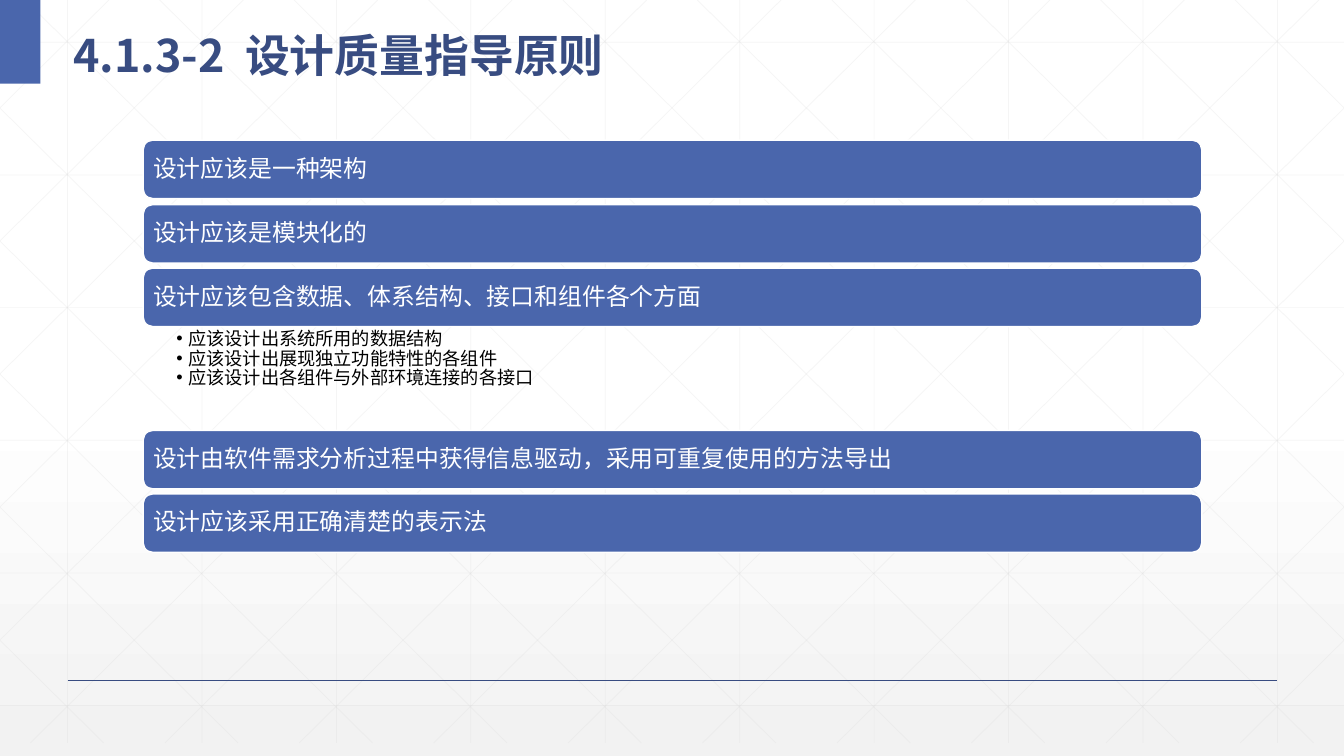
from copy import deepcopy

from lxml import etree
from pptx import Presentation
from pptx.dml.color import RGBColor
from pptx.enum.shapes import MSO_CONNECTOR, MSO_SHAPE
from pptx.enum.text import MSO_ANCHOR, PP_ALIGN
from pptx.oxml.ns import qn
from pptx.util import Inches, Pt

STRAIGHT = MSO_CONNECTOR.STRAIGHT
RECT, ROUND_RECT = MSO_SHAPE.RECTANGLE, MSO_SHAPE.ROUNDED_RECTANGLE
TOP, MIDDLE = MSO_ANCHOR.TOP, MSO_ANCHOR.MIDDLE
LEFT = PP_ALIGN.LEFT

BLUE = RGBColor(0x4A, 0x66, 0xAC)
NAVY = RGBColor(0x38, 0x4C, 0x81)
GRID = RGBColor(0xD9, 0xD9, 0xD9)
PALE = RGBColor(0xF2, 0xF2, 0xF2)
WHITE = RGBColor(0xFF, 0xFF, 0xFF)
BLACK = RGBColor(0x00, 0x00, 0x00)

WIDTH, HEIGHT = 13.33, 7.5
GRID_BOTTOM = 7.37
GRID_STEP = 4 / 3
BAR_LEFT, BAR_WIDTH, BAR_HEIGHT = 1.42, 10.5, 0.58

TITLE = ["4.1.3-2", " ", "设计质量指导原则"]
BARS = [
    (1.39, "设计应该是一种架构"),
    (2.03, "设计应该是模块化的"),
    (2.66, "设计应该包含数据、体系结构、接口和组件各个方面"),
    (4.27, "设计由软件需求分析过程中获得信息驱动，采用可重复使用的方法导出"),
    (4.9, "设计应该采用正确清楚的表示法"),
]
DETAILS = [
    "应该设计出系统所用的数据结构",
    "应该设计出展现独立功能特性的各组件",
    "应该设计出各组件与外部环境连接的各接口",
]


class SlideBuilder:
    """Draws styled elements on the current slide."""

    latin = "Arial"
    cjk = "Noto Sans CJK SC"

    def __init__(self, slide):
        self.s = slide

    def background(self):
        fill = self.s.background.fill
        fill.gradient()
        fill.gradient_angle = 270
        stops = self.s.element.xpath(".//a:gsLst")[0]
        stops.insert(1, deepcopy(stops[0]))
        for stop, pos, color in zip(fill.gradient_stops, (0, 0.53, 1), (WHITE, WHITE, PALE)):
            stop.position = pos
            stop.color.rgb = color

    def line(self, x1, y1, x2, y2, color, width, alpha=None):
        sp = self.s.shapes.add_connector(
            STRAIGHT, Inches(x1), Inches(y1), Inches(x2), Inches(y2))
        sp.line.color.rgb = color
        sp.line.width = Pt(width)
        if alpha:
            rgb = sp.element.xpath(".//a:srgbClr")[0]
            etree.SubElement(rgb, qn("a:alpha")).set("val", str(alpha * 1000))
        etree.SubElement(sp.element.spPr, qn("a:effectLst"))

    def grid(self):
        style = (GRID, 0.5, 25)
        for i in range(10):
            x = 0.67 + i * GRID_STEP
            self.line(x, 0, x, GRID_BOTTOM, *style)
        for i in range(6):
            y = 0.42 + i * 1.316
            self.line(0, y, WIDTH, y, *style)
        slope = 0.99
        for i in range(-5, 10):
            start = 0.25 + i * GRID_STEP
            x1, x2 = max(start, 0), min(start + GRID_BOTTOM / slope, WIDTH)
            y1, y2 = (x1 - start) * slope, (x2 - start) * slope
            self.line(x1, y1, x2, y2, *style)
            self.line(WIDTH - x1, y1, WIDTH - x2, y2, *style)

    def shape(self, kind, x, y, w, h, fill, line=None):
        sp = self.s.shapes.add_shape(kind, Inches(x), Inches(y), Inches(w), Inches(h))
        sp.shadow.inherit = False
        sp.fill.solid()
        sp.fill.fore_color.rgb = fill
        if line is None:
            sp.line.fill.background()
        else:
            sp.line.color.rgb = line
            sp.line.width = Pt(1)
        return sp

    def textbox(self, x, y, w, h):
        return self.s.shapes.add_textbox(Inches(x), Inches(y), Inches(w), Inches(h))

    def frame(self, sp, anchor, left, top, right, bottom):
        tf = sp.text_frame
        tf.word_wrap = True
        tf.vertical_anchor = anchor
        tf.margin_left, tf.margin_top = Inches(left), Inches(top)
        tf.margin_right, tf.margin_bottom = Inches(right), Inches(bottom)
        return tf

    def format(self, p, size, color, spacing, latin=None, bold=False):
        p.alignment = LEFT
        p.line_spacing = spacing
        for r in p.runs:
            r.font.size = Pt(size)
            r.font.bold = bold
            r.font.color.rgb = color
            r.font.name = latin or self.latin
            ea = etree.SubElement(r.font._element, qn("a:ea"))
            ea.set("typeface", self.cjk)

    def title(self, parts):
        tf = self.frame(self.textbox(0.63, 0.1, 12.42, 0.73), MIDDLE, 0.1, 0.05, 0.1, 0.05)
        p = tf.paragraphs[0]
        for part in parts:
            p.add_run().text = part
        self.format(p, 32, NAVY, 1.3, self.cjk, True)
        p.runs[1].font._element.set("spc", "700")

    def bar(self, y, text):
        sp = self.shape(ROUND_RECT, BAR_LEFT, y, BAR_WIDTH, BAR_HEIGHT, BLUE, WHITE)
        tf = self.frame(sp, MIDDLE, 0.07, 0.07, 0.07, 0.07)
        tf.text = text
        self.format(tf.paragraphs[0], 17, WHITE, 0.9)

    def bullets(self, y, items):
        tf = self.frame(self.textbox(BAR_LEFT, y, BAR_WIDTH, 1.02), TOP, 0.33, 0.02, 0.13, 0.02)
        tf.text = "\n".join(items)
        for p in tf.paragraphs:
            pPr = p._p.get_or_add_pPr()
            pPr.set("marL", str(Inches(0.12)))
            pPr.set("indent", str(Inches(-0.12)))
            etree.SubElement(pPr, qn("a:buFont")).set("typeface", self.latin)
            etree.SubElement(pPr, qn("a:buChar")).set("char", "•")
            self.format(p, 13, BLACK, 0.9)


def main():
    prs = Presentation()
    prs.slide_width, prs.slide_height = Inches(WIDTH), Inches(HEIGHT)
    b = SlideBuilder(prs.slides.add_slide(prs.slide_layouts[6]))
    b.background()
    b.grid()
    b.line(0.67, 6.75, 12.67, 6.75, NAVY, 1)
    b.shape(RECT, 0, 0, 0.4, 0.83, BLUE)
    b.title(TITLE)
    for y, text in BARS:
        b.bar(y, text)
    b.bullets(3.25, DETAILS)
    prs.save("out.pptx")


if __name__ == "__main__":
    main()
